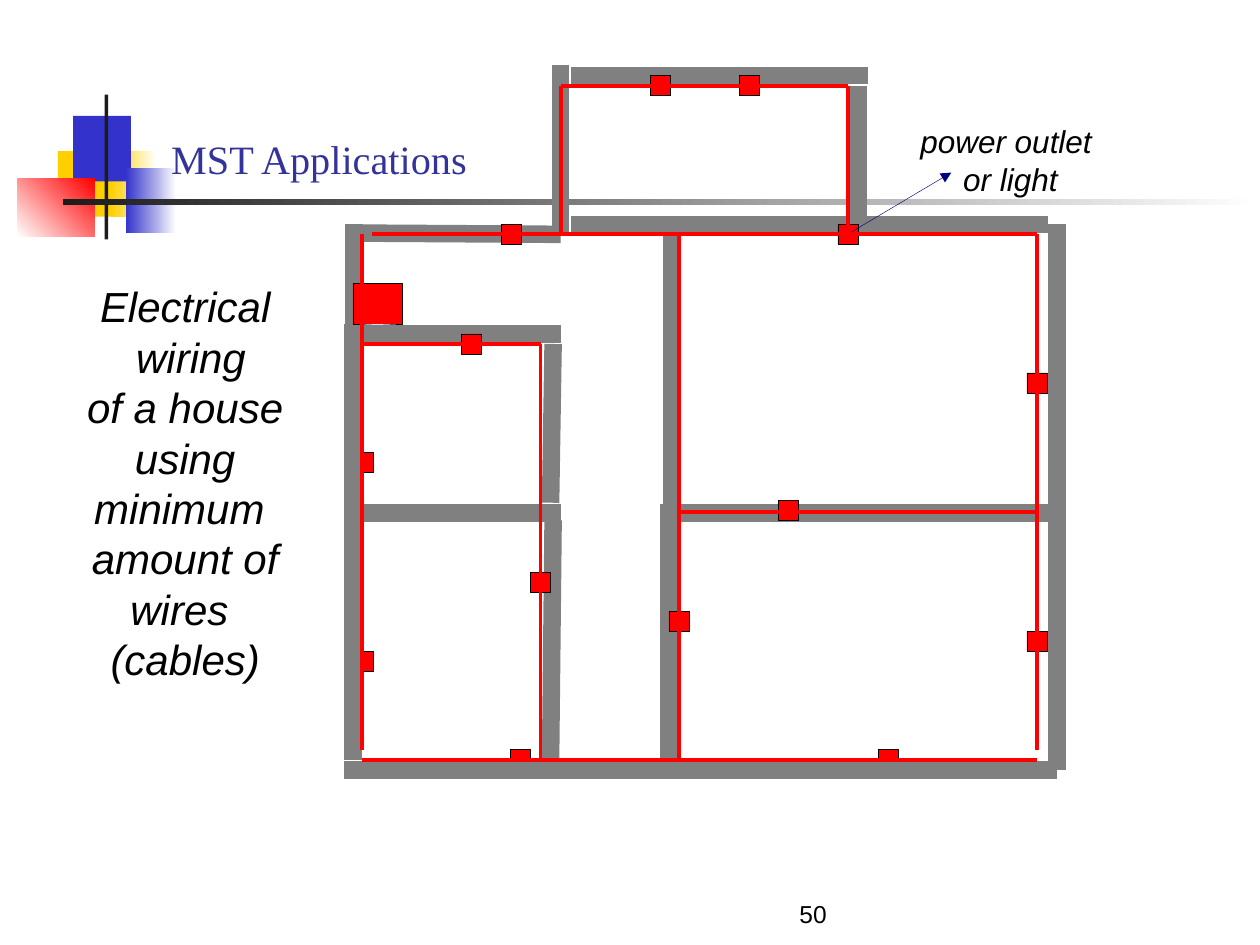
from lxml import etree
from pptx import Presentation
from pptx import util as u
from pptx.dml.color import RGBColor
from pptx.enum import shapes, text
from pptx.oxml.ns import qn

RED, GREY, BLACK, WHITE = "FF0000", "808080", "000000", "FFFFFF"
GOLD, BLUE, DARK, NAVY = "FFCF01", "3333CC", "1C1C1C", "000080"

# All places are in inches: left, top, width, height; then colours, gradient angle
EMBLEM = [
    ((0.46, 1.2, 0.48, 0.52), [GOLD], 0),
    ((0.88, 1.2, 0.36, 0.52), [GOLD, WHITE], 0),
    ((0.58, 0.92, 0.46, 0.52), [BLUE], 0),
    ((1, 1.33, 0.4, 0.52), [BLUE, WHITE], 0),
    ((0.14, 1.42, 0.61, 0.46), [WHITE, RED], 45),
    ((0.83, 0.75, 0.03, 1.15), [DARK], 0),
    ((0.5, 1.58, 9.5, 0.05), [DARK, WHITE], 0),
]

# House plan: lines as x1, y1, x2, y2
INNER_WALLS = [
    (4.37, 3.99, 4.39, 2.73), (4.53, 0.6, 6.89, 0.6), (6.81, 0.68, 6.81, 1.78),
    (8.39, 4.07, 8.39, 1.78), (6.75, 1.78, 8.32, 1.78), (8.39, 4.07, 8.39, 6.11),
    (2.87, 4.07, 4.45, 4.07), (4.45, 2.65, 2.87, 2.65), (5.24, 4.07, 8.39, 4.07),
    (6.75, 1.78, 4.53, 1.78), (4.45, 1.86, 4.45, 0.52), (4.39, 4.13, 4.37, 6.03),
    (5.33, 1.84, 5.33, 4.14), (5.31, 4.14, 5.31, 6.03),
]
OUTER_WALLS = [
    (5.24, 6.11, 8.39, 6.11), (2.87, 1.85, 4.45, 1.86), (2.81, 1.78, 2.81, 2.65),
    (2.8, 2.57, 2.8, 4.14), (5.25, 6.11, 2.73, 6.11), (2.8, 6.03, 2.8, 4.14),
]
WIRES = [
    (2.87, 6.03, 8.23, 6.03), (8.23, 5.95, 8.23, 1.86), (8.23, 1.86, 2.95, 1.86),
    (4.29, 2.73, 4.29, 6.03), (2.87, 2.73, 4.29, 2.73), (4.45, 0.68, 4.45, 1.86),
    (4.45, 0.68, 6.73, 0.68), (6.73, 0.68, 6.73, 1.86), (5.39, 1.86, 5.39, 6.03),
    (5.39, 4.06, 8.23, 4.06), (2.87, 1.86, 2.87, 5.95),
]
# Outlet centres; the first four are partly covered by the outer walls
COVERED_OUTLETS = [(4.13, 6.03), (2.88, 5.25), (7.05, 6.03), (2.88, 3.67)]
OPEN_OUTLETS = [
    (8.23, 5.09), (8.23, 3.04), (6.26, 4.05), (6.73, 1.86), (5.24, 0.68),
    (5.95, 0.68), (3.74, 2.73), (4.29, 4.62), (5.39, 4.93), (4.06, 1.86),
]
OUTLET_SIZE = 0.16
FUSE_BOX = (2.8, 2.25, 0.39, 0.32)
POINTER = (6.76, 1.84, 7.55, 1.37)

ARIAL = dict(name="Arial", color=BLACK)
TITLE = dict(
    lines=["MST Applications"], place=(1.26, 0.58, 8.52, 0.92), align="LEFT",
    anchor="BOTTOM", wrap=True, font=dict(name="Times New Roman", size=23, color="333399"))
PAGE_NUMBER = dict(
    lines=["50"], place=(4.58, 6.92, 2.08, 0.5), align="RIGHT",
    anchor="BOTTOM", wrap=True, font=dict(ARIAL, size=14))
SUMMARY = dict(
    lines=["Electrical", " wiring", "of a house", "using", "minimum ", "amount of",
           "wires ", "(cables)"],
    place=(0.57, 2.18, 1.8, 3.3), align="CENTER",
    anchor="TOP", wrap=False, font=dict(ARIAL, size=24, italic=True))
CALLOUT = dict(
    lines=["power outlet ", "or light"], place=(7.2, 0.92, 1.64, 0.7), align="CENTER",
    anchor="TOP", wrap=False, font=dict(ARIAL, size=18, italic=True))


def rgb(hex_colour):
    return RGBColor.from_string(hex_colour)


def lengths(inches):
    return [u.Cm(2.54 * value) for value in inches]


def add_block(slide, place, colours, angle=0, outline=None):
    """Rectangle with a plain fill, or a gradient when two colours are given."""
    block = slide.shapes.add_shape(shapes.MSO_SHAPE.RECTANGLE, *lengths(place))
    block.shadow.inherit = False
    if len(colours) == 1:
        block.fill.solid()
        block.fill.fore_color.rgb = rgb(colours[0])
    else:
        block.fill.gradient()
        block.fill.gradient_angle = angle
        for stop, colour in zip(block.fill.gradient_stops, colours):
            stop.color.rgb = rgb(colour)
    if outline:
        block.line.color.rgb = rgb(outline)
        block.line.width = u.Pt(0.25)
    else:
        block.line.fill.background()


def add_outlets(slide, centres):
    for x, y in centres:
        corner = (x - OUTLET_SIZE / 2, y - OUTLET_SIZE / 2)
        add_block(slide, (*corner, OUTLET_SIZE, OUTLET_SIZE), [RED], outline=BLACK)


def add_lines(slide, runs, colour, width, arrow=False):
    for ends in runs:
        line = slide.shapes.add_connector(shapes.MSO_CONNECTOR.STRAIGHT, *lengths(ends))
        line.line.color.rgb = rgb(colour)
        line.line.width = u.Pt(width)
        if arrow:
            etree.SubElement(line.line._get_or_add_ln(), qn("a:tailEnd"), type="triangle")
        etree.SubElement(line._element.spPr, qn("a:effectLst"))


def add_words(slide, lines, place, align, anchor, wrap, font):
    frame = slide.shapes.add_textbox(*lengths(place)).text_frame
    frame.word_wrap = wrap
    if not wrap:
        frame.auto_size = text.MSO_AUTO_SIZE.SHAPE_TO_FIT_TEXT
    frame.vertical_anchor = text.MSO_ANCHOR[anchor]
    frame.text = "\n".join(lines)
    for paragraph in frame.paragraphs:
        paragraph.alignment = text.PP_ALIGN[align]
        for key, value in font.items():
            if key == "color":
                paragraph.font.color.rgb = rgb(value)
            else:
                setattr(paragraph.font, key, u.Pt(value) if key == "size" else value)


def main():
    deck = Presentation()
    deck.slide_width, deck.slide_height = lengths((10, 7.5))
    slide = deck.slides.add_slide(deck.slide_layouts[6])
    for place, colours, angle in EMBLEM:
        add_block(slide, place, colours, angle)
    add_words(slide, **PAGE_NUMBER)
    add_words(slide, **TITLE)
    add_lines(slide, INNER_WALLS, GREY, 10)
    add_outlets(slide, COVERED_OUTLETS)
    add_lines(slide, OUTER_WALLS, GREY, 10)
    add_outlets(slide, OPEN_OUTLETS)
    add_block(slide, FUSE_BOX, [RED], outline=BLACK)
    add_lines(slide, WIRES, RED, 2.25)
    add_words(slide, **SUMMARY)
    add_lines(slide, [POINTER], NAVY, 0.25, arrow=True)
    add_words(slide, **CALLOUT)
    deck.save("out.pptx")


if __name__ == "__main__":
    main()
